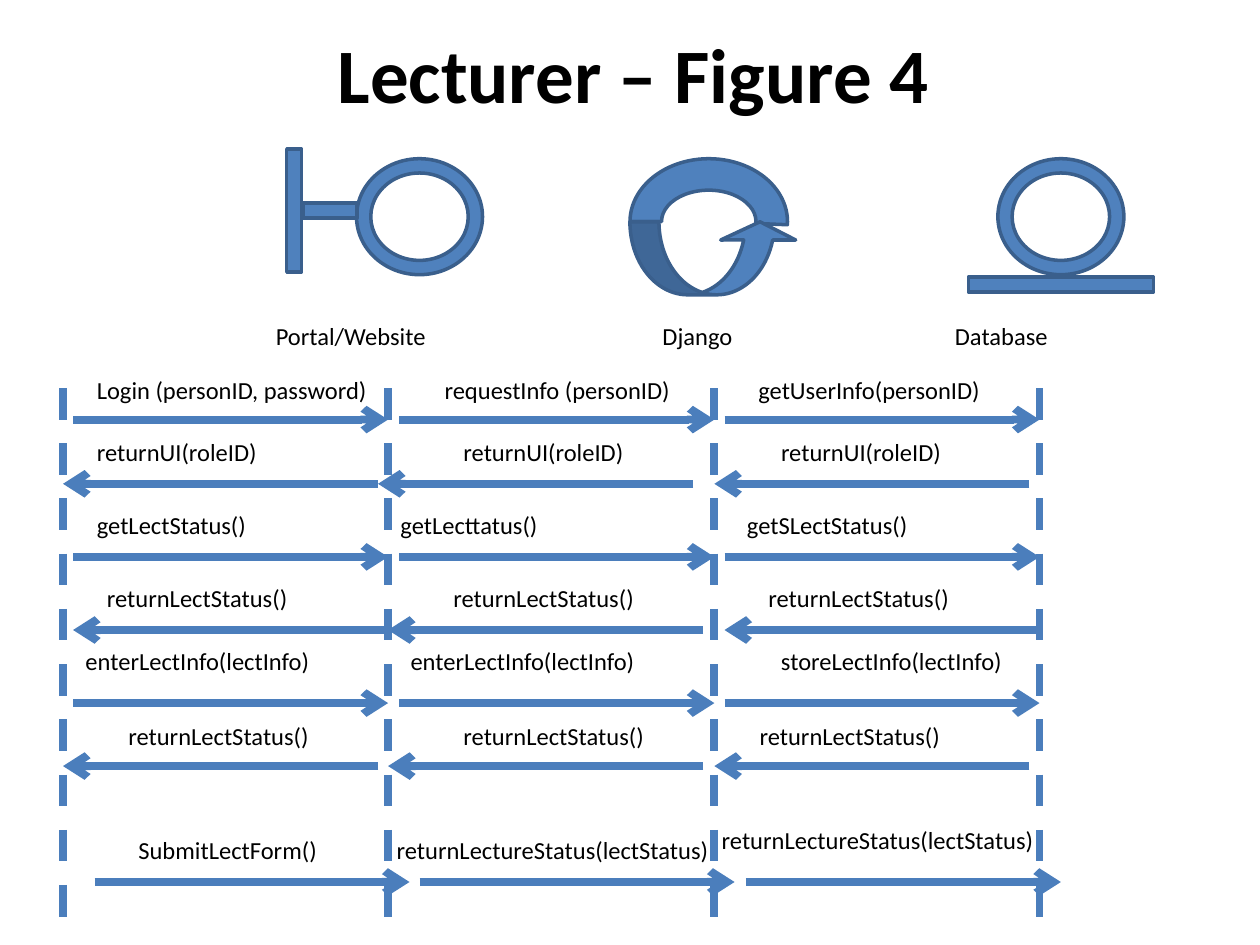
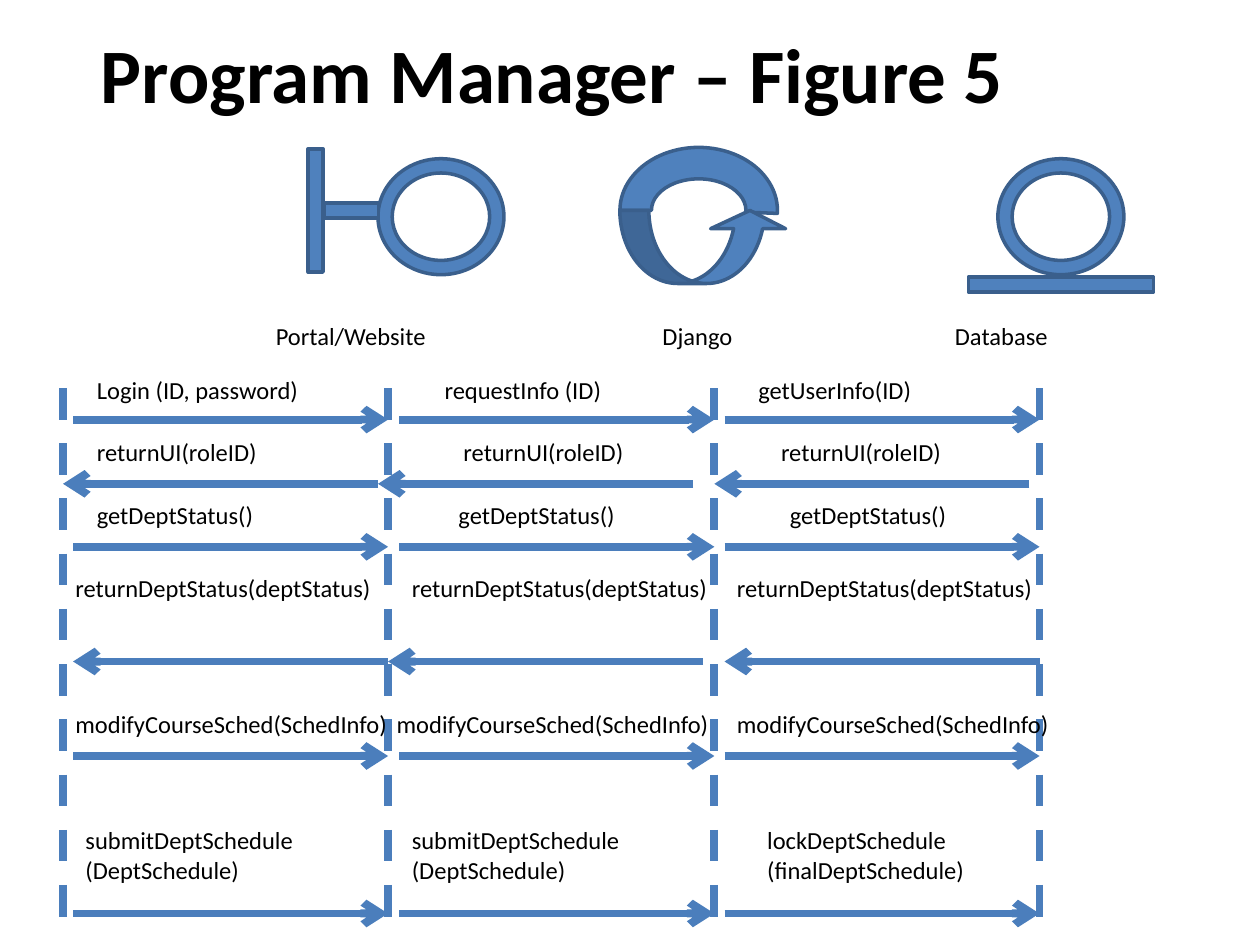
from dataclasses import dataclass

from lxml.etree import SubElement
from pptx import Presentation
from pptx.dml.color import RGBColor
from pptx.enum.dml import MSO_LINE
from pptx.enum.shapes import MSO_CONNECTOR, MSO_SHAPE as Preset
from pptx.enum.text import MSO_AUTO_SIZE, PP_ALIGN
from pptx.oxml.ns import qn
from pptx.presentation import Presentation as Deck
from pptx.slide import Slide
from pptx.text.text import TextFrame
from pptx.util import Inches, Pt

ICON_FILL = RGBColor(0x4F, 0x81, 0xBD)
ICON_LINE = RGBColor(0x3A, 0x5F, 0x8C)
FLOW_LINE = RGBColor(0x4B, 0x7E, 0xBC)
TEXT_COLOR = RGBColor(0, 0, 0)
FONT = "Calibri"

TITLE_ONLY = 5
MESSAGE_LENGTH = 2.5
LIFELINE_TOP = 3.08
LIFELINES = ((0.5, 7.33), (3.08, 7.33), (5.67, 7.42), (8.25, 7.42))

# Left ends of the three messages in a row
REQUEST = (0.58, 3.17, 5.75)
SUBMIT = (0.75, 3.33, 5.92)
REPLY_UI = (0.5, 3, 5.67)
REPLY_STATUS = (0.58, 3.08, 5.75)
REPLY_ENTRY = (0.5, 3.08, 5.67)


@dataclass(frozen=True)
class Label:
    """Caption of one message; rise lifts it above the row's other captions."""
    text: str
    left: float
    width: float
    rise: float = 0


@dataclass(frozen=True)
class MessageRow:
    """Three messages at one height, with their captions."""
    arrow_y: float
    label_top: float
    lefts: tuple[float, ...]
    labels: tuple[Label, ...]
    reply: bool = False
    wrap: bool = False


@dataclass(frozen=True)
class Sequence:
    """One sequence diagram slide."""
    title: str
    title_left: float
    title_width: float
    portal_left: float
    django_left: float
    django_top: float
    rows: tuple[MessageRow, ...]


def same_labels(text: str, width: float, *lefts: float) -> tuple[Label, ...]:
    """Repeat one caption at several places."""
    return tuple(Label(text, left, width) for left in lefts)


ACTORS = (Label("Portal/Website", 2.09, 1.41), Label("Django", 5.16, 0.76),
          Label("Database", 7.48, 0.95))
RETURN_UI = MessageRow(3.84, 3.42, REPLY_UI,
                       same_labels("returnUI(roleID)", 1.48, 0.67, 3.58, 6.1), reply=True)

LECTURER = Sequence("Lecturer – Figure 4", 2.58, 4.94, 2.33, 5, 1.26, (
    MessageRow(3.33, 2.93, REQUEST, (
        Label("Login (personID, password)", 0.67, 2.36),
        Label("requestInfo (personID)", 3.43, 2.01),
        Label("getUserInfo(personID)", 5.92, 1.98))),
    RETURN_UI,
    MessageRow(4.42, 4, REQUEST, (
        Label("getLectStatus()", 0.67, 2.42),
        Label("getLecttatus()", 3.08, 2.42),
        Label("getSLectStatus()", 5.83, 2.42)), wrap=True),
    MessageRow(5, 4.58, REPLY_STATUS,
               same_labels("returnLectStatus()", 1.65, 0.75, 3.5, 6), reply=True),
    MessageRow(5.58, 5.08, REQUEST, (
        *same_labels("enterLectInfo(lectInfo)", 1.99, 0.58, 3.16),
        Label("storeLectInfo(lectInfo)", 6.1, 1.97))),
    MessageRow(6.08, 5.67, REPLY_ENTRY,
               same_labels("returnLectStatus()", 1.65, 0.92, 3.58, 5.93), reply=True),
    MessageRow(7, 6.58, SUBMIT, (
        Label("SubmitLectForm()", 1, 1.63),
        Label("returnLectureStatus(lectStatus)", 3.05, 2.7),
        Label("returnLectureStatus(lectStatus)", 5.63, 2.7, rise=0.08))),
))

PROGRAM_MANAGER = Sequence("Program Manager – Figure 5", 0.7, 7.44, 2.5, 4.92, 1.17, (
    MessageRow(3.33, 2.93, REQUEST, (
        Label("Login (ID, password)", 0.67, 1.81),
        Label("requestInfo (ID)", 3.43, 1.46),
        Label("getUserInfo(ID)", 5.92, 1.43))),
    RETURN_UI,
    MessageRow(4.34, 3.92, REQUEST,
               same_labels("getDeptStatus()", 1.46, 0.67, 3.54, 6.17)),
    MessageRow(5.25, 4.5, REPLY_STATUS,
               same_labels("returnDeptStatus(deptStatus)", 2.57, 0.5, 3.17, 5.75), reply=True),
    MessageRow(6, 5.58, REQUEST,
               same_labels("modifyCourseSched(SchedInfo)", 2.7, 0.5, 3.05, 5.75)),
    MessageRow(7.25, 6.5, REQUEST, (
        *same_labels("submitDeptSchedule\n(DeptSchedule)", 1.87, 0.58, 3.17),
        Label("lockDeptSchedule\n(finalDeptSchedule)", 5.99, 1.78))),
))


def write(frame: TextFrame, text: str, size: int, bold: bool = False,
          wrap: bool = False) -> None:
    """Fill a text frame and format its runs."""
    frame.text = text
    frame.word_wrap = wrap
    frame.auto_size = MSO_AUTO_SIZE.SHAPE_TO_FIT_TEXT
    for paragraph in frame.paragraphs:
        paragraph.alignment = PP_ALIGN.LEFT
        for run in paragraph.runs:
            run.font.name = FONT
            run.font.size = Pt(size)
            run.font.bold = bold
            run.font.color.rgb = TEXT_COLOR


def add_title(slide: Slide, sequence: Sequence) -> None:
    """Place and fill the title placeholder."""
    title = slide.shapes.title
    title.left, title.top = Inches(sequence.title_left), Inches(0.16)
    title.width, title.height = Inches(sequence.title_width), Inches(0.84)
    write(title.text_frame, sequence.title, 44, bold=True)


def add_label(slide: Slide, label: Label, top: float, wrap: bool = False) -> None:
    """Add a caption, as high as its number of lines."""
    height = 0.34 + 0.23 * label.text.count("\n")
    box = slide.shapes.add_textbox(Inches(label.left), Inches(top - label.rise),
                                   Inches(label.width), Inches(height))
    write(box.text_frame, label.text, 14, wrap=wrap)


def add_icon_part(slide: Slide, preset: Preset, left: float, top: float, width: float,
                  height: float, adjustments: tuple[float, ...] = (),
                  rotation: float = 0) -> None:
    """Add one outlined blue shape of an actor's icon."""
    part = slide.shapes.add_shape(preset, Inches(left), Inches(top),
                                  Inches(width), Inches(height))
    for index, value in enumerate(adjustments):
        part.adjustments[index] = value
    part.rotation = rotation
    part.shadow.inherit = False
    part.fill.solid()
    part.fill.fore_color.rgb = ICON_FILL
    part.line.color.rgb = ICON_LINE
    part.line.width = Pt(2)


def add_ring(slide: Slide, left: float) -> None:
    """Add the ring shared by the portal and database icons."""
    add_icon_part(slide, Preset.DONUT, left, 1.26, 1, 0.92, (0.123,))


def add_icons(slide: Slide, sequence: Sequence) -> None:
    """Draw the portal, Django and database icons."""
    portal, django, top = sequence.portal_left, sequence.django_left, sequence.django_top
    add_ring(slide, portal + 0.5)
    add_icon_part(slide, Preset.MATH_MINUS, portal, 1.42, 0.58, 0.5)
    add_icon_part(slide, Preset.MATH_MINUS, portal - 0.66, 1.42, 1.33, 0.5, rotation=270)
    add_icon_part(slide, Preset.BLOCK_ARC, django, top, 1.25, 1, (108, 1.328, 0.25))
    add_icon_part(slide, Preset.CURVED_UP_ARROW, django, top + 0.5, 1.33, 0.58,
                  (0.397, 1.026, 0.25))
    add_ring(slide, 7.92)
    add_icon_part(slide, Preset.MATH_MINUS, 7.42, 2.01, 2, 0.5)


def add_line(slide: Slide, start: tuple[float, float], end: tuple[float, float],
             arrow: bool = False) -> None:
    """Add a message arrow, or a dashed lifeline."""
    connector = slide.shapes.add_connector(
        MSO_CONNECTOR.STRAIGHT, *(Inches(value) for value in (*start, *end)))
    connector.line.color.rgb = FLOW_LINE
    connector.line.width = Pt(4.5)
    properties = connector.element.spPr
    if arrow:
        SubElement(properties.find(qn("a:ln")), qn("a:tailEnd"), type="arrow")
    else:
        connector.line.dash_style = MSO_LINE.DASH
    SubElement(properties, qn("a:effectLst"))


def add_messages(slide: Slide, row: MessageRow) -> None:
    """Draw the arrows and captions of one row."""
    for left, label in zip(row.lefts, row.labels):
        start, end = (left, row.arrow_y), (left + MESSAGE_LENGTH, row.arrow_y)
        if row.reply:
            start, end = end, start
        add_line(slide, start, end, arrow=True)
        add_label(slide, label, row.label_top, row.wrap)


def add_sequence(deck: Deck, sequence: Sequence) -> None:
    """Build one sequence diagram slide."""
    slide = deck.slides.add_slide(deck.slide_layouts[TITLE_ONLY])
    add_title(slide, sequence)
    add_icons(slide, sequence)
    for actor in ACTORS:
        add_label(slide, actor, 2.5)
    for x, bottom in LIFELINES:
        add_line(slide, (x, LIFELINE_TOP), (x, bottom))
    for row in sequence.rows:
        add_messages(slide, row)


deck = Presentation()
deck.slide_width, deck.slide_height = Inches(10), Inches(7.5)
for diagram in (LECTURER, PROGRAM_MANAGER):
    add_sequence(deck, diagram)
deck.save("out.pptx")
